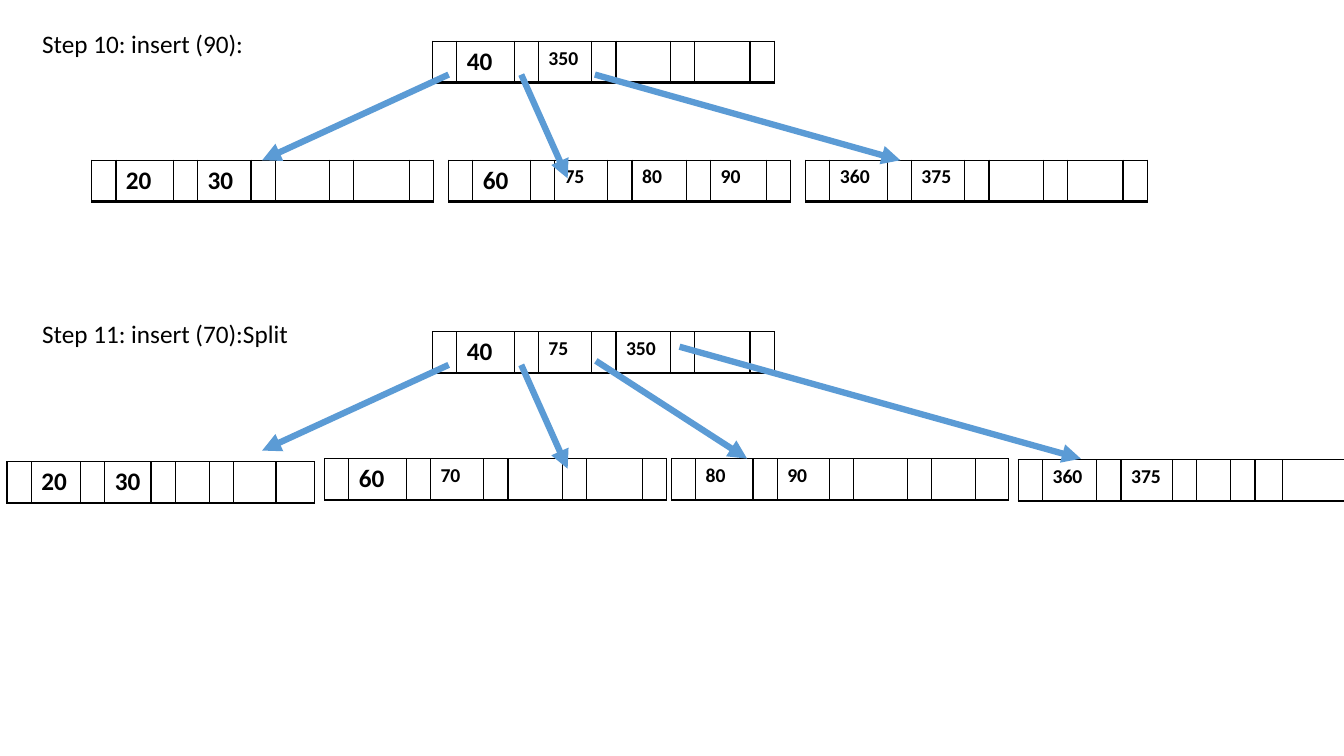
from lxml import etree
from pptx import Presentation
from pptx.dml.color import RGBColor
from pptx.enum.shapes import MSO_CONNECTOR
from pptx.oxml.ns import qn
from pptx.util import Inches, Pt

STRAIGHT = MSO_CONNECTOR.STRAIGHT
COLORS = {"ink": "000000", "pointer": "5B9BD5"}
FONT = "Calibri"
NODE_HEIGHT = 0.41
KEY_SLOTS = 4
# Pointer and key cells alternate, starting and ending with a pointer.
REGULAR = (0.24, 0.57, 0.24, 0.53, 0.24, 0.54, 0.24, 0.55, 0.23)
NARROW = (0.23, 0.49, 0.23, 0.46, 0.23, 0.34, 0.23, 0.42, 0.38)
MEDIUM = (0.23, 0.57, 0.23, 0.52, 0.23, 0.53, 0.23, 0.44, 0.33)
EDGE = (0.23, 0.54, 0.23, 0.51, 0.23, 0.34, 0.23, 0.27, 0.66)
BORDERS = (("a:lnL", 1), ("a:lnR", 1), ("a:lnT", 1), ("a:lnB", 2))

# Leaves: left, top, keys, widths. Pointers: start and end.
# Every top is measured from the top of the step.
STEPS = (
    {
        "top": 0.23,
        "title": "Step 10: insert (90):",
        "root": (40, 350),
        "leaves": (
            (0.91, 1.36, (20, 30), REGULAR),
            (4.45, 1.36, (60, 75, 80, 90), REGULAR),
            (7.99, 1.36, (360, 375), REGULAR),
        ),
        "pointers": (
            ((4.45, 0.51), (2.6, 1.36)),
            ((5.17, 0.51), (5.63, 1.54)),
            ((5.9, 0.51), (8.93, 1.36)),
        ),
    },
    {
        "top": 3.11,
        "title": "Step 11: insert (70):Split",
        "root": (40, 75, 350),
        "leaves": (
            (0.07, 1.47, (20, 30), NARROW),
            (3.22, 1.44, (60, 70), REGULAR),
            (6.66, 1.44, (80, 90), MEDIUM),
            (10.1, 1.45, (360, 375), EDGE),
        ),
        "pointers": (
            ((4.45, 0.51), (2.6, 1.36)),
            ((5.17, 0.51), (5.63, 1.54)),
            ((5.91, 0.47), (7.41, 1.44)),
            ((6.74, 0.33), (10.72, 1.44)),
        ),
    },
)


def style_font(font, size, bold=False):
    font.name = FONT
    font.size = Pt(size)
    font.bold = bold
    font.color.rgb = RGBColor.from_string(COLORS["ink"])


def outline_cell(cell):
    cell.fill.background()
    properties = cell._tc.get_or_add_tcPr()
    for position, (tag, width) in enumerate(BORDERS):
        border = etree.Element(qn(tag), w=str(Pt(width)))
        fill = etree.SubElement(border, qn("a:solidFill"))
        etree.SubElement(fill, qn("a:srgbClr"), val=COLORS["ink"])
        properties.insert(position, border)


def draw_node(slide, left, top, keys, widths):
    """Draw one B-tree node as a row of pointer and key cells."""
    node = slide.shapes.add_table(
        1, len(widths), Inches(left), Inches(top),
        Inches(sum(widths)), Inches(NODE_HEIGHT),
    ).table
    node.first_row = False
    node.horz_banding = False
    for column, width in zip(node.columns, widths):
        column.width = Inches(width)
    for cell in node.rows[0].cells:
        outline_cell(cell)
    for slot, key in enumerate(keys[:KEY_SLOTS]):
        cell = node.cell(0, 2 * slot + 1)
        cell.text = str(key)
        size = 18 if key < 70 else 14
        style_font(cell.text_frame.paragraphs[0].font, size, bold=True)


def draw_pointer(slide, start, end, top):
    pointer = slide.shapes.add_connector(
        STRAIGHT, Inches(start[0]), Inches(top + start[1]),
        Inches(end[0]), Inches(top + end[1]),
    )
    pointer.line.color.rgb = RGBColor.from_string(COLORS["pointer"])
    pointer.line.width = Pt(4.5)
    etree.SubElement(pointer.line._get_or_add_ln(), qn("a:tailEnd"), type="triangle")
    etree.SubElement(pointer._element.spPr, qn("a:effectLst"))


def draw_title(slide, top, title):
    frame = slide.shapes.add_textbox(
        Inches(0.32), Inches(top), Inches(6.44), Inches(0.4)
    ).text_frame
    frame.word_wrap = True
    frame.text = title
    style_font(frame.paragraphs[0].font, 18)


def draw_step(slide, top, title, root, leaves, pointers):
    draw_title(slide, top, title)
    draw_node(slide, 4.29, top + 0.18, root, REGULAR)
    for left, offset, keys, widths in leaves:
        draw_node(slide, left, top + offset, keys, widths)
    for start, end in pointers:
        draw_pointer(slide, start, end, top)


def main():
    presentation = Presentation()
    presentation.slide_width = Inches(13.33)
    presentation.slide_height = Inches(7.5)
    slide = presentation.slides.add_slide(presentation.slide_layouts[6])
    for step in STEPS:
        draw_step(slide, **step)
    presentation.save("out.pptx")


if __name__ == "__main__":
    main()
